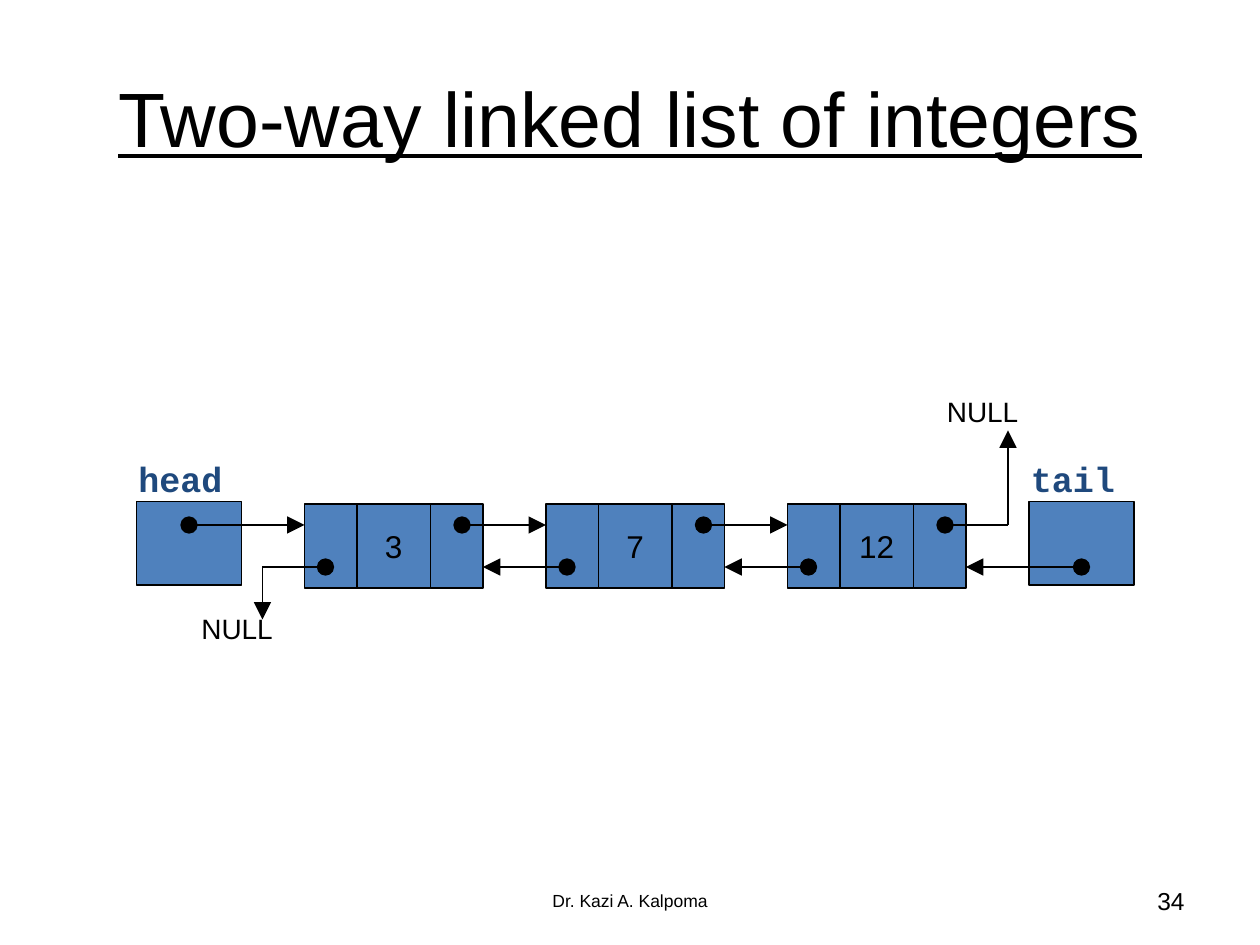
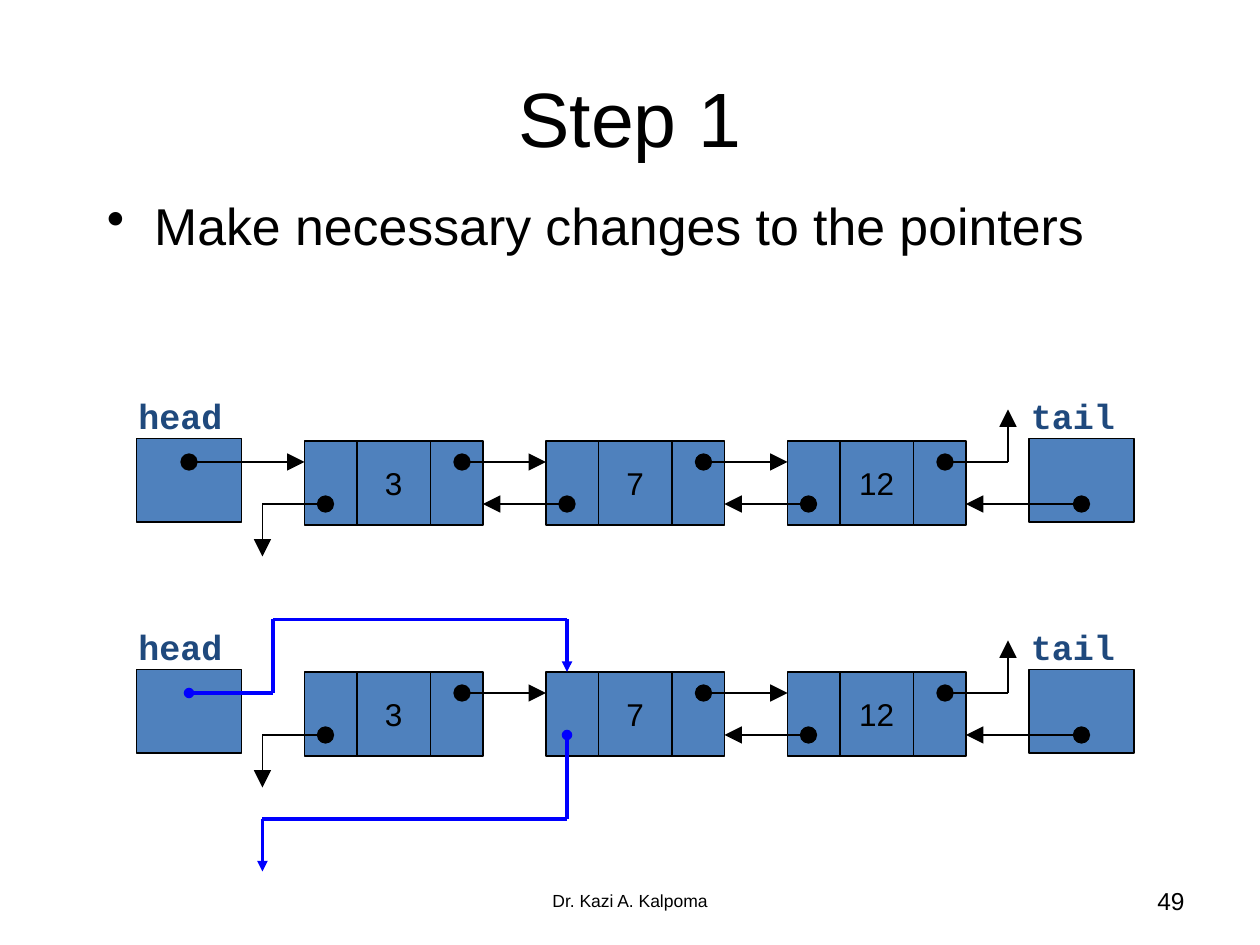
from dataclasses import dataclass
from itertools import pairwise
from typing import NamedTuple

from lxml.etree import SubElement
from pptx import Presentation
from pptx.dml.color import RGBColor
from pptx.enum.shapes import MSO_CONNECTOR, MSO_SHAPE
from pptx.enum.text import MSO_ANCHOR, PP_ALIGN
from pptx.oxml import parse_xml
from pptx.oxml.ns import nsdecls, qn
from pptx.shapes.autoshape import Shape
from pptx.shapes.shapetree import GroupShapes, SlideShapes
from pptx.slide import Slide
from pptx.util import Emu, Pt

EMU_PER_PX = 9525
Canvas = SlideShapes | GroupShapes


class TextStyle(NamedTuple):
    size: float
    font: str = "Arial"
    color: str = "000000"
    bold: bool = False
    underline: bool = False
    align: PP_ALIGN = PP_ALIGN.LEFT
    anchor: MSO_ANCHOR = MSO_ANCHOR.TOP


class LinkStyle(NamedTuple):
    color: str
    width: int
    head_size: str


@dataclass(frozen=True)
class Theme:
    cell_fill: str = "4F81BD"
    cell_line: str = "000000"
    title: TextStyle = TextStyle(44, align=PP_ALIGN.CENTER, anchor=MSO_ANCHOR.MIDDLE)
    body: TextStyle = TextStyle(29.6)
    pointer: TextStyle = TextStyle(20, "Courier New", "1F497D", bold=True)
    value: TextStyle = TextStyle(18, align=PP_ALIGN.CENTER, anchor=MSO_ANCHOR.MIDDLE)
    null: TextStyle = TextStyle(16)
    author: TextStyle = TextStyle(10, align=PP_ALIGN.CENTER, anchor=MSO_ANCHOR.MIDDLE)
    number: TextStyle = TextStyle(14, align=PP_ALIGN.RIGHT, anchor=MSO_ANCHOR.MIDDLE)
    link: LinkStyle = LinkStyle("000000", 1, "lg")
    new_link: LinkStyle = LinkStyle("0000FF", 2, "med")


class Box(NamedTuple):
    left: int
    top: int
    width: int
    height: int


class Point(NamedTuple):
    x: int
    y: int


@dataclass(frozen=True)
class ListRow:
    top: int
    tail_null_y: int
    relinked: bool = False


THEME = Theme()
VALUES = ("3", "7", "12")
FIRST_NODE_X, NODE_PITCH = 232, 184
POINTER_WIDTH, VALUE_WIDTH, CELL_HEIGHT = 40, 56, 64
NODE_WIDTH = 2 * POINTER_WIDTH + VALUE_WIDTH
PREV_DOT, NEXT_DOT = 16, 120
NEXT_Y, PREV_Y = 16, 48
HEAD_X, TAIL_X, END_BOX_WIDTH = 104, 784, 80
HEAD_DOT_X, TAIL_DOT_X = 144, 824
HEAD_NULL_X, TAIL_NULL_X = 200, 768


def px(length: int) -> Emu:
    return Emu(length * EMU_PER_PX)


def write(shape: Shape, text: str, style: TextStyle) -> None:
    frame = shape.text_frame
    frame.word_wrap = True
    frame.vertical_anchor = style.anchor
    paragraph = frame.paragraphs[0]
    paragraph.text = text
    paragraph.alignment = style.align
    font = paragraph.font
    font.name, font.size = style.font, Pt(style.size)
    font.bold, font.underline = style.bold, style.underline
    font.color.rgb = RGBColor.from_string(style.color)


def add_text(canvas: Canvas, box: Box, text: str, style: TextStyle) -> Shape:
    label = canvas.add_textbox(*map(px, box))
    write(label, text, style)
    return label


def add_cell(canvas: Canvas, box: Box, value: str = "") -> None:
    cell = canvas.add_shape(MSO_SHAPE.RECTANGLE, *map(px, box))
    cell.shadow.inherit = False
    cell.fill.solid()
    cell.fill.fore_color.rgb = RGBColor.from_string(THEME.cell_fill)
    cell.line.color.rgb = RGBColor.from_string(THEME.cell_line)
    cell.line.width = Pt(1)
    if value:
        write(cell, value, THEME.value)
        cell.text_frame.margin_left = cell.text_frame.margin_right = 0


def add_link(canvas: Canvas, points: list[Point], style: LinkStyle = THEME.link) -> None:
    for start, end in pairwise(points):
        segment = canvas.add_connector(MSO_CONNECTOR.STRAIGHT, *map(px, start + end))
        segment.line.color.rgb = RGBColor.from_string(style.color)
        segment.line.width = Pt(style.width)
        properties = segment._element.spPr
        SubElement(properties, qn("a:effectLst"))
        outline = properties.find(qn("a:ln"))
        tips = []
        if start == points[0]:
            tips.append(("a:headEnd", "oval"))
        if end == points[-1]:
            tips.append(("a:tailEnd", "triangle"))
        for tag, kind in tips:
            SubElement(outline, qn(tag), type=kind, w=style.head_size, len=style.head_size)


def add_end_pointer(canvas: Canvas, name: str, left: int, top: int) -> None:
    add_cell(canvas, Box(left, top - 2, END_BOX_WIDTH, CELL_HEIGHT))
    add_text(canvas, Box(left - 8, top - 40, 112, 42), name, THEME.pointer)


def add_node(canvas: Canvas, value: str, left: int, top: int) -> None:
    for content, width in (("", POINTER_WIDTH), (value, VALUE_WIDTH), ("", POINTER_WIDTH)):
        add_cell(canvas, Box(left, top, width, CELL_HEIGHT), content)
        left += width


def add_list(slide: Slide, row: ListRow) -> None:
    canvas = slide.shapes.add_group_shape().shapes
    top = row.top
    next_y, prev_y = top + NEXT_Y, top + PREV_Y
    nodes = [FIRST_NODE_X + i * NODE_PITCH for i in range(len(VALUES))]

    add_end_pointer(canvas, "head", HEAD_X, top)
    add_end_pointer(canvas, "tail", TAIL_X, top)
    for value, left in zip(VALUES, nodes):
        add_node(canvas, value, left, top)

    for i, (left, right) in enumerate(pairwise(nodes)):
        add_link(canvas, [Point(left + NEXT_DOT, next_y), Point(right, next_y)])
        if not (row.relinked and i == 0):
            add_link(canvas, [Point(right + PREV_DOT, prev_y), Point(left + NODE_WIDTH, prev_y)])

    add_link(canvas, [Point(nodes[0] + PREV_DOT, prev_y), Point(HEAD_NULL_X, prev_y),
                      Point(HEAD_NULL_X, top + 88)])
    add_link(canvas, [Point(nodes[-1] + NEXT_DOT, next_y), Point(TAIL_NULL_X, next_y),
                      Point(TAIL_NULL_X, row.tail_null_y)])
    add_link(canvas, [Point(TAIL_DOT_X, prev_y), Point(nodes[-1] + NODE_WIDTH, prev_y)])

    head_dot = Point(HEAD_DOT_X, next_y)
    if not row.relinked:
        add_link(canvas, [head_dot, Point(nodes[0], next_y)])
        return
    second_x, detour_x, detour_y, null_y = nodes[1] + PREV_DOT, 208, top - 40, top + 112
    add_link(canvas, [head_dot, Point(detour_x, next_y), Point(detour_x, detour_y),
                      Point(second_x, detour_y), Point(second_x, top)], THEME.new_link)
    add_link(canvas, [Point(second_x, prev_y), Point(second_x, null_y),
                      Point(HEAD_NULL_X, null_y), Point(HEAD_NULL_X, null_y + 40)], THEME.new_link)


def add_bullet(slide: Slide, text: str) -> None:
    body = add_text(slide.shapes, Box(72, 148, 816, 80), text, THEME.body)
    paragraph = body.text_frame.paragraphs[0]
    paragraph.line_spacing = 0.9
    properties = paragraph._p.get_or_add_pPr()
    properties.set("marL", str(px(36)))
    properties.set("indent", str(px(-36)))
    bullet = parse_xml(f'<a:buChar {nsdecls("a")} char="•"/>')
    properties.find(qn("a:defRPr")).addprevious(bullet)


def add_page(deck: Presentation, title: str, number: str, style: TextStyle = THEME.title) -> Slide:
    slide = deck.slides.add_slide(deck.slide_layouts[6])
    add_text(slide.shapes, Box(48, 29, 864, 120), title, style)
    add_text(slide.shapes, Box(328, 667, 304, 38), "Dr. Kazi A. Kalpoma", THEME.author)
    add_text(slide.shapes, Box(688, 667, 224, 38), number, THEME.number)
    return slide


def main() -> None:
    deck = Presentation()
    deck.slide_width, deck.slide_height = px(960), px(720)

    overview = add_page(deck, "Two-way linked list of integers", "34",
                        THEME.title._replace(underline=True))
    add_list(overview, ListRow(top=384, tail_null_y=328))
    for left, top in ((144, 461), (712, 296)):
        add_text(overview.shapes, Box(left, top, 80, 35), "NULL", THEME.null)

    step = add_page(deck, "Step 1", "49")
    add_bullet(step, "Make necessary changes to the pointers")
    add_list(step, ListRow(top=336, tail_null_y=312))
    add_list(step, ListRow(top=512, tail_null_y=488, relinked=True))

    deck.save("out.pptx")


if __name__ == "__main__":
    main()
